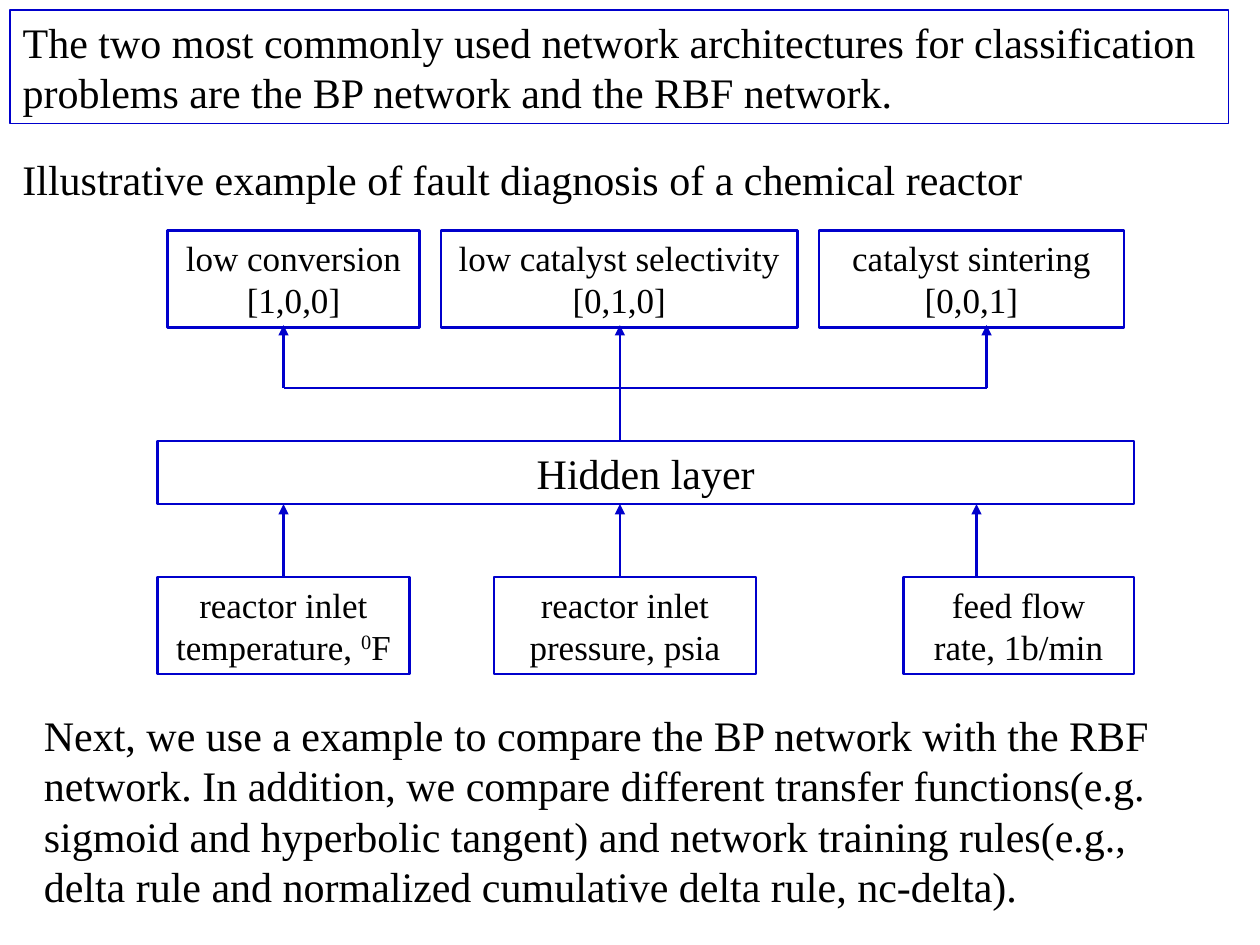
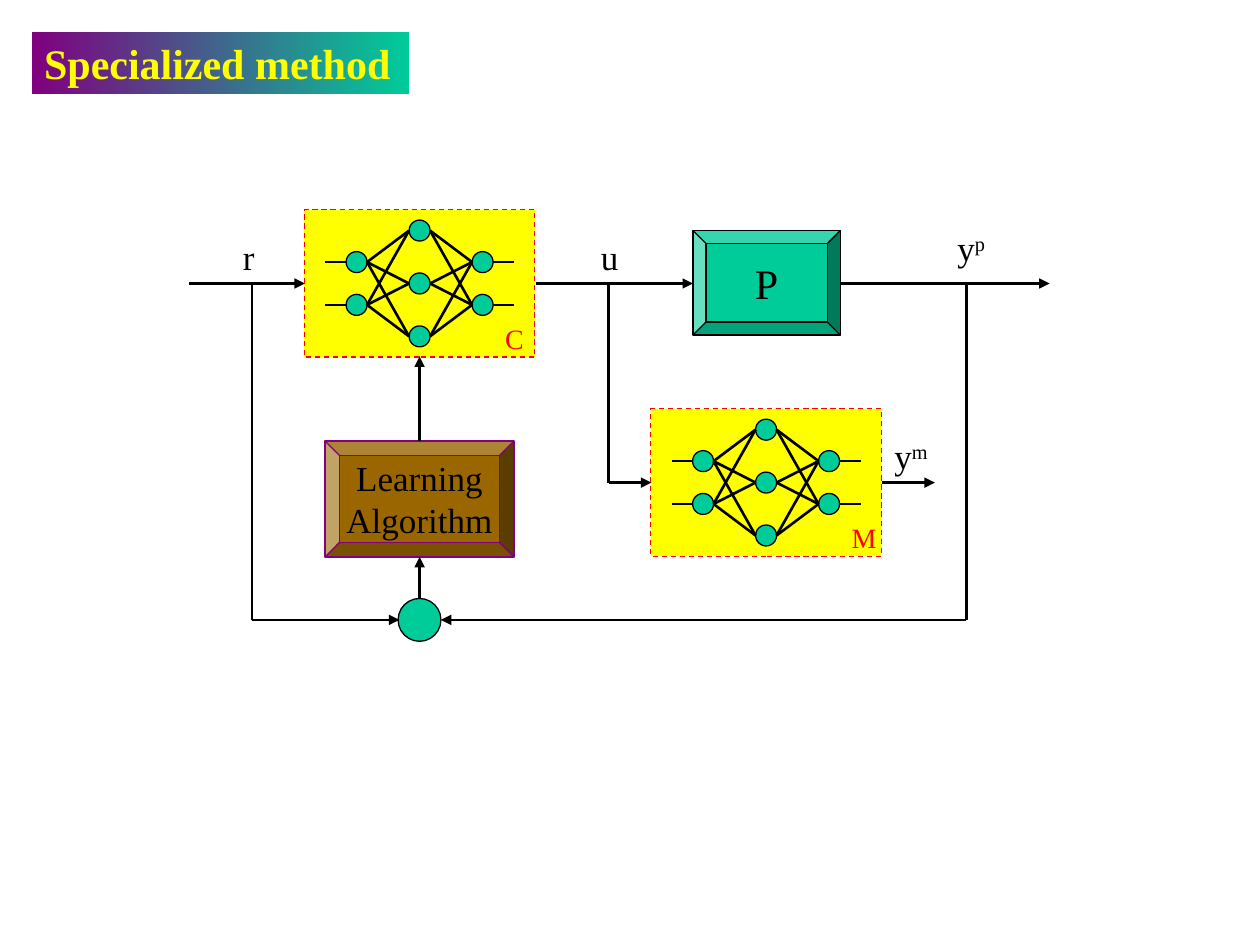
from itertools import product

from lxml.etree import SubElement
from pptx import Presentation
from pptx.dml.color import RGBColor
from pptx.enum.dml import MSO_LINE
from pptx.enum.shapes import MSO_CONNECTOR, MSO_SHAPE as SHAPE
from pptx.enum.text import MSO_ANCHOR as ANCHOR, MSO_AUTO_SIZE, PP_ALIGN as ALIGN
from pptx.oxml.ns import qn
from pptx.util import Inches, Pt

BLACK = RGBColor(0x00, 0x00, 0x00)
BLUE = RGBColor(0x00, 0x00, 0xCC)
GREEN = RGBColor(0x00, 0xCC, 0x99)
YELLOW = RGBColor(0xFF, 0xFF, 0x00)
RED = RGBColor(0xFF, 0x00, 0x00)
BROWN = RGBColor(0x99, 0x66, 0x00)
PURPLE = RGBColor(0x80, 0x00, 0x80)

FONT = "Times New Roman"
BODY, LABEL, SMALL = 24, 20, 16
THIN, THICK = 0.75, 1.5
NODE_R = 1 / 12


class Deck:
    """Hold the shared style and the current slide, and draw elements on it."""

    def __init__(self):
        self.prs = Presentation()
        self.prs.slide_width, self.prs.slide_height = Inches(10), Inches(7.5)

    def new_slide(self):
        self.slide = self.prs.slides.add_slide(self.prs.slide_layouts[5])

    def fill_text(self, sp, text, size, color=BLACK, align=ALIGN.LEFT,
                  anchor=ANCHOR.TOP, bold=False, wrap=True):
        tf = sp.text_frame
        tf.word_wrap = wrap
        tf.auto_size = MSO_AUTO_SIZE.NONE
        tf.vertical_anchor = anchor
        for i, line in enumerate(text.split("\n")):
            p = tf.paragraphs[0] if i == 0 else tf.add_paragraph()
            p.alignment = align
            p.font.name, p.font.size, p.font.bold = FONT, Pt(size), bold
            p.font.color.rgb = color
            for j, part in enumerate(line.split("^")):
                r = p.add_run()
                r.text = part
                if j % 2:
                    r.font._element.set("baseline", "30000")

    def title(self, text, x, y, w, h, **style):
        sp = self.slide.shapes.title
        sp.left, sp.top, sp.width, sp.height = map(Inches, (x, y, w, h))
        self.fill_text(sp, text, BODY, **style)
        return sp

    def text(self, text, x, y, w, h, size=LABEL, color=BLACK):
        sp = self.slide.shapes.add_textbox(*map(Inches, (x, y, w, h)))
        self.fill_text(sp, text, size, color)

    def shape(self, kind, x, y, w, h, line=BLACK, fill=None, width=THIN):
        sp = self.slide.shapes.add_shape(kind, *map(Inches, (x, y, w, h)))
        sp.shadow.inherit = False
        if fill is None:
            sp.fill.background()
        else:
            sp.fill.solid()
            sp.fill.fore_color.rgb = fill
        sp.line.color.rgb = line
        sp.line.width = Pt(width)
        return sp

    def box(self, text, x, y, w, h, size=LABEL):
        sp = self.shape(SHAPE.RECTANGLE, x, y, w, h, BLUE, width=THICK)
        self.fill_text(sp, text, size, align=ALIGN.CENTER)

    def bevel(self, text, x, y, w, h, fill, line=BLACK, size=LABEL):
        sp = self.shape(SHAPE.BEVEL, x, y, w, h, line, fill)
        self.fill_text(sp, text, size, align=ALIGN.CENTER, anchor=ANCHOR.MIDDLE, wrap=False)

    def circle(self, cx, cy, r):
        self.shape(SHAPE.OVAL, cx - r, cy - r, 2 * r, 2 * r, fill=GREEN)

    def line(self, x1, y1, x2, y2, color=BLACK, arrow=False):
        cn = self.slide.shapes.add_connector(
            MSO_CONNECTOR.STRAIGHT, *map(Inches, (x1, y1, x2, y2)))
        cn.line.color.rgb = color
        cn.line.width = Pt(THICK)
        if arrow:
            SubElement(cn.line._get_or_add_ln(), qn("a:tailEnd"), type="triangle")
        SubElement(cn._element.spPr, qn("a:effectLst"))

    def arrow(self, x1, y1, x2, y2, color=BLACK):
        self.line(x1, y1, x2, y2, color, arrow=True)

    def network(self, name, cx, cy):
        w, h = 1.83, 1.17
        frame = self.shape(SHAPE.RECTANGLE, cx - w / 2, cy - h / 2, w, h, RED, YELLOW)
        frame.line.dash_style = MSO_LINE.DASH
        hidden = [cy + dy for dy in (-0.42, 0, 0.42)]
        outer = [cy + dy for dy in (-0.17, 0.17)]
        for y in hidden:
            self.circle(cx, y, NODE_R)
        for side in (-1, 1):
            node_x = cx + side * 0.5
            for y in outer:
                self.circle(node_x, y, NODE_R)
                self.line(node_x + side * NODE_R, y, cx + side * 0.75, y)
            for y1, y2 in product(outer, hidden):
                self.line(node_x - side * NODE_R, y1, cx + side * NODE_R, y2)
        self.text(name, cx + 0.58, cy + 0.25, 0.42, 0.37, SMALL, RED)


def fault_diagnosis(deck):
    deck.new_slide()
    sp = deck.title("The two most commonly used network architectures for classification "
                    "problems are the BP network and the RBF network.",
                    0.08, 0.08, 9.67, 0.9)
    sp.line.color.rgb = BLUE
    sp.line.width = Pt(THIN)
    deck.text("Illustrative example of fault diagnosis of a chemical reactor",
              0.08, 1.17, 8.5, 0.5, BODY)

    faults = [("low conversion\n[1,0,0]", 1.33, 2),
              ("low catalyst selectivity\n[0,1,0]", 3.5, 2.83),
              ("catalyst sintering\n[0,0,1]", 6.5, 2.42)]
    inputs = [("reactor inlet\ntemperature, ^0^F", 1.25, 2),
              ("reactor inlet\npressure, psia", 3.92, 2.08),
              ("feed flow\nrate, 1b/min", 7.17, 1.83)]
    for y, row in ((1.83, faults), (4.58, inputs)):
        for text, x, w in row:
            deck.box(text, x, y, w, 0.77)
    deck.box("Hidden layer", 1.25, 3.5, 7.75, 0.5, BODY)

    deck.line(2.25, 3.08, 7.83, 3.08, BLUE)
    for x, y in ((2.25, 3.08), (4.92, 3.5), (7.83, 3.08)):
        deck.arrow(x, y, x, 2.58, BLUE)
    for x in (2.25, 4.92, 7.75):
        deck.arrow(x, 4.58, x, 4, BLUE)

    deck.text("Next, we use a example to compare the BP network with the RBF network. "
              "In addition, we compare different transfer functions(e.g. sigmoid and "
              "hyperbolic tangent) and network training rules(e.g., delta rule and "
              "normalized cumulative delta rule, nc-delta).",
              0.25, 5.58, 9.5, 1.7, BODY)


def specialized_method(deck):
    deck.new_slide()
    sp = deck.title("Specialized method", 0.25, 0.25, 3, 0.5, color=YELLOW, bold=True)
    sp.fill.gradient()
    sp.fill.gradient_angle = 0
    for stop, color in zip(sp.fill.gradient_stops, (PURPLE, GREEN)):
        stop.color.rgb = color

    top, middle, bottom = 2.25, 3.83, 4.92
    ref_x, learn_x, control_x, output_x = 2, 3.33, 4.83, 7.67
    deck.network("C", learn_x, top)
    deck.network("M", 6.08, middle)
    deck.bevel("Learning\nAlgorithm", 2.58, 3.5, 1.5, 0.92, BROWN, PURPLE)
    deck.bevel("P", 5.5, 1.83, 1.17, 0.83, GREEN, size=BODY)
    deck.circle(learn_x, bottom, 0.17)

    for x, y in ((ref_x, bottom), (control_x, middle), (output_x, bottom)):
        deck.line(x, top, x, y)
    for x1, x2, y in ((1.5, 2.42, top), (4.25, 5.5, top), (6.67, 8.33, top),
                      (control_x, 5.17, middle), (7, 7.42, middle),
                      (ref_x, 3.17, bottom), (output_x, 3.5, bottom)):
        deck.arrow(x1, y, x2, y)
    for y1, y2 in ((3.5, 2.83), (4.75, 4.42)):
        deck.arrow(learn_x, y1, learn_x, y2)

    for text, x, y, w in (("r", 1.83, 1.82, 0.42), ("u", 4.67, 1.82, 0.42),
                          ("y^p", 7.5, 1.75, 0.58), ("y^m", 7, 3.4, 0.58)):
        deck.text(text, x, y, w, 0.44)


def main():
    deck = Deck()
    fault_diagnosis(deck)
    specialized_method(deck)
    deck.prs.save("out.pptx")


if __name__ == "__main__":
    main()
